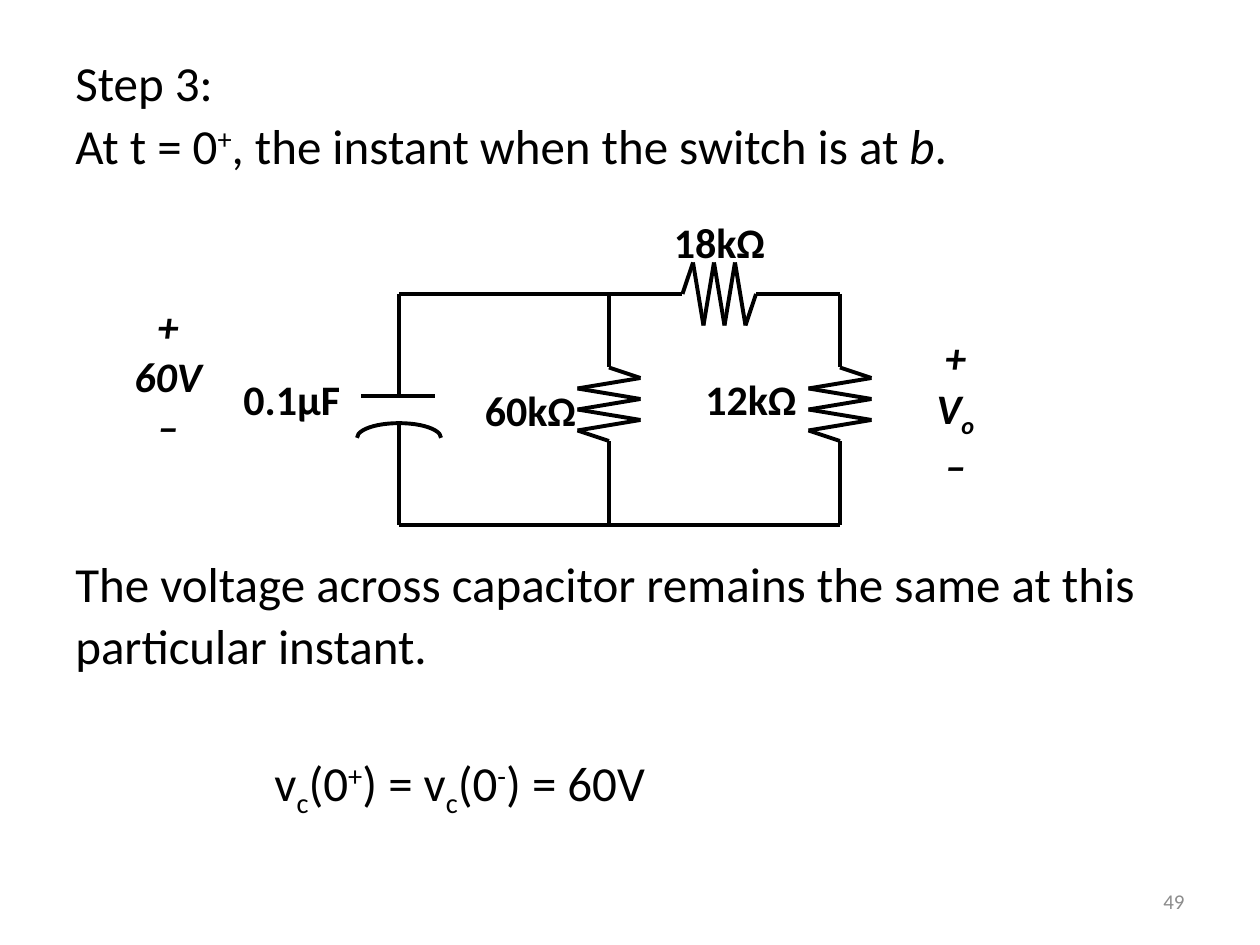
from dataclasses import dataclass

from lxml import etree
from pptx import Presentation
from pptx import util as u
from pptx.dml.color import RGBColor
from pptx.enum import shapes, text
from pptx.oxml.ns import qn


@dataclass(frozen=True)
class Theme:
    font: str = "Calibri"
    ink: str = "000000"
    muted: str = "8C8C8C"
    body: float = 28
    label: float = 24
    number: float = 12
    wire: float = 2.25


T = Theme()
UNIT = 1 / 12  # the circuit grid, in inches
SUP, SUB = 30, -25

# Runs are (text, baseline shift, italic)
# Body paragraphs: space before in points, left indent in inches, runs
BODY = [
    (0, 0, [("Step 3:", 0, False)]),
    (5.6, 0, [("At t = 0", 0, False), ("+", SUP, False),
              (", the instant when the switch is at ", 0, False),
              ("b", 0, True), (".", 0, False)]),
    (220, 0, [("The voltage across capacitor remains the same at this", 0, False)]),
    (5.6, 0, [("particular instant.", 0, False)]),
    (44.5, 1.58, [("v", 0, False), ("c", SUB, False), ("(0", 0, False),
                  ("+", SUP, False), (") = v", 0, False), ("c", SUB, False),
                  ("(0", 0, False), ("-", SUP, False), (") = 60V", 0, False)]),
]

# Circuit positions below are in grid units
LEFT, MIDDLE, RIGHT, TOP, BOTTOM = 38, 58, 80, 28, 50
PLATE, CURVE = 37.7, 40.3
RES_LOW, RES_HIGH = 42, 35          # ends of the upright resistors
RES_RIGHT, RES_LEFT = 72, 65        # ends of the level resistor
SWING = 3

WIRES = [
    (LEFT, BOTTOM, RIGHT, BOTTOM),
    (LEFT, TOP, RES_LEFT, TOP),
    (RES_RIGHT, TOP, RIGHT, TOP),
    (LEFT, TOP, LEFT, PLATE),
    (LEFT - 3.6, PLATE, LEFT + 3.4, PLATE),
    (LEFT, CURVE, LEFT, BOTTOM),
] + [w for x in (MIDDLE, RIGHT)
     for w in ((x, TOP, x, RES_HIGH), (x, RES_LOW, x, BOTTOM))]

LABELS = [("18kΩ", 63, 20), ("0.1μF", 22, 35), ("12kΩ", 66, 35), ("60kΩ", 45, 36)]
VOLTAGES = [
    (10, 28, [("60V", 0, True)]),
    (85, 31, [("V", 0, True), ("o", SUB, True)]),
]


def add_runs(p, runs, size, color=T.ink, bold=False):
    for words, shift, italic in runs:
        r = p.add_run()
        r.text = words
        f = r.font
        f.name, f.size, f.bold, f.italic = T.font, u.Pt(size), bold, italic
        f.color.rgb = RGBColor.from_string(color)
        if shift:
            r._r.get_or_add_rPr().set("baseline", str(shift * 1000))


def add_box(parent, left, top, width, height, wrap=True):
    box = parent.add_textbox(*map(u.Inches, (left, top, width, height)))
    box.text_frame.word_wrap = wrap
    return box.text_frame


def paragraphs(tf, count):
    return [tf.paragraphs[0]] + [tf.add_paragraph() for _ in range(count - 1)]


def grid(*values):
    return [u.Inches(v * UNIT) for v in values]


def set_line(sp):
    sp.line.color.rgb = RGBColor.from_string(T.ink)
    sp.line.width = u.Pt(T.wire)


def add_wire(parent, ends):
    c = parent.add_connector(shapes.MSO_CONNECTOR.STRAIGHT, *grid(*ends))
    set_line(c)
    etree.SubElement(c._element.spPr, qn("a:effectLst"))


def add_resistor(parent, x, y, level=False):
    """Zigzag of seven strokes, one grid unit each, going left or up from x, y."""
    swings = [0] + [-SWING, SWING] * 3 + [0]
    points = [(x - i, y - s) if level else (x + s, y - i)
              for i, s in enumerate(swings)]
    for start, end in zip(points, points[1:]):
        add_wire(parent, start + end)


def add_curved_plate(parent):
    arc = parent.add_shape(shapes.MSO_SHAPE.ARC, *grid(LEFT - 4, CURVE, 8, 2.8))
    arc.adjustments[0], arc.adjustments[1] = 108, 0  # left end over to right end
    arc.shadow.inherit = False
    arc.fill.background()
    set_line(arc)


def add_circuit(s):
    parent = s.shapes.add_group_shape().shapes
    for ends in WIRES:
        add_wire(parent, ends)
    add_resistor(parent, MIDDLE, RES_LOW)
    add_resistor(parent, RIGHT, RES_LOW)
    add_resistor(parent, RES_RIGHT, TOP, level=True)
    add_curved_plate(parent)
    for words, x, y in LABELS:
        tf = add_box(parent, x * UNIT, y * UNIT, 1, 0.5, wrap=False)
        add_runs(tf.paragraphs[0], [(words, 0, False)], T.label, bold=True)
    for x, y, name in VOLTAGES:
        lines = [[("+", 0, True)], name, [("–", 0, True)]]
        tf = add_box(parent, x * UNIT, y * UNIT, 1, 1.3)
        for p, runs in zip(paragraphs(tf, len(lines)), lines):
            p.alignment = text.PP_ALIGN.CENTER
            add_runs(p, runs, T.label, bold=True)


def add_body(s):
    tf = add_box(s.shapes, 0.5, 0.42, 9, 6.29)
    for p, (before, indent, runs) in zip(paragraphs(tf, len(BODY)), BODY):
        p.line_spacing = 0.9
        p.space_before = u.Pt(before)
        p._p.get_or_add_pPr().set("marL", str(u.Inches(indent)))
        add_runs(p, runs, T.body)


def add_number(s):
    tf = add_box(s.shapes, 7.17, 6.95, 2.33, 0.4)
    tf.vertical_anchor = text.MSO_ANCHOR.MIDDLE
    p = tf.paragraphs[0]
    p.alignment = text.PP_ALIGN.RIGHT
    add_runs(p, [("49", 0, False)], T.number, T.muted)


def main():
    prs = Presentation()
    prs.slide_width, prs.slide_height = u.Inches(10), u.Inches(7.5)
    s = prs.slides.add_slide(prs.slide_layouts[6])
    add_body(s)
    add_number(s)
    add_circuit(s)
    prs.save("out.pptx")


if __name__ == "__main__":
    main()
